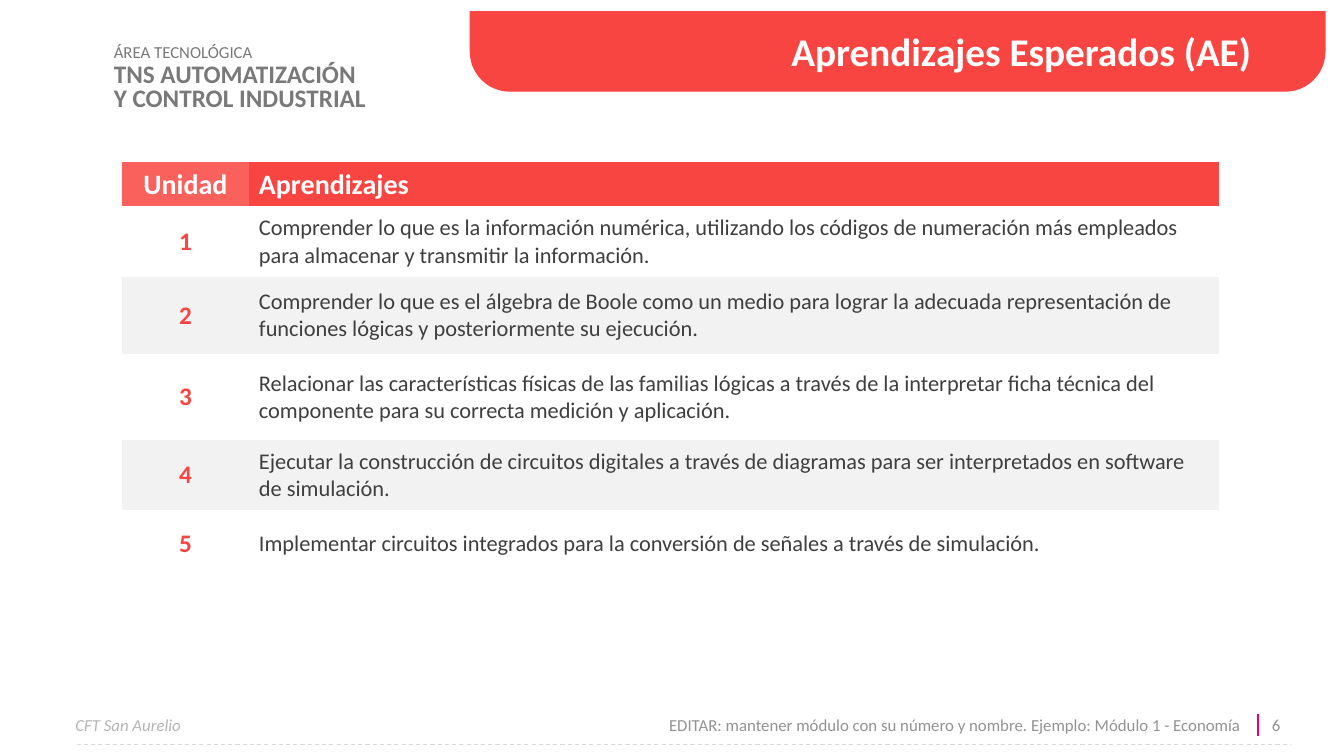
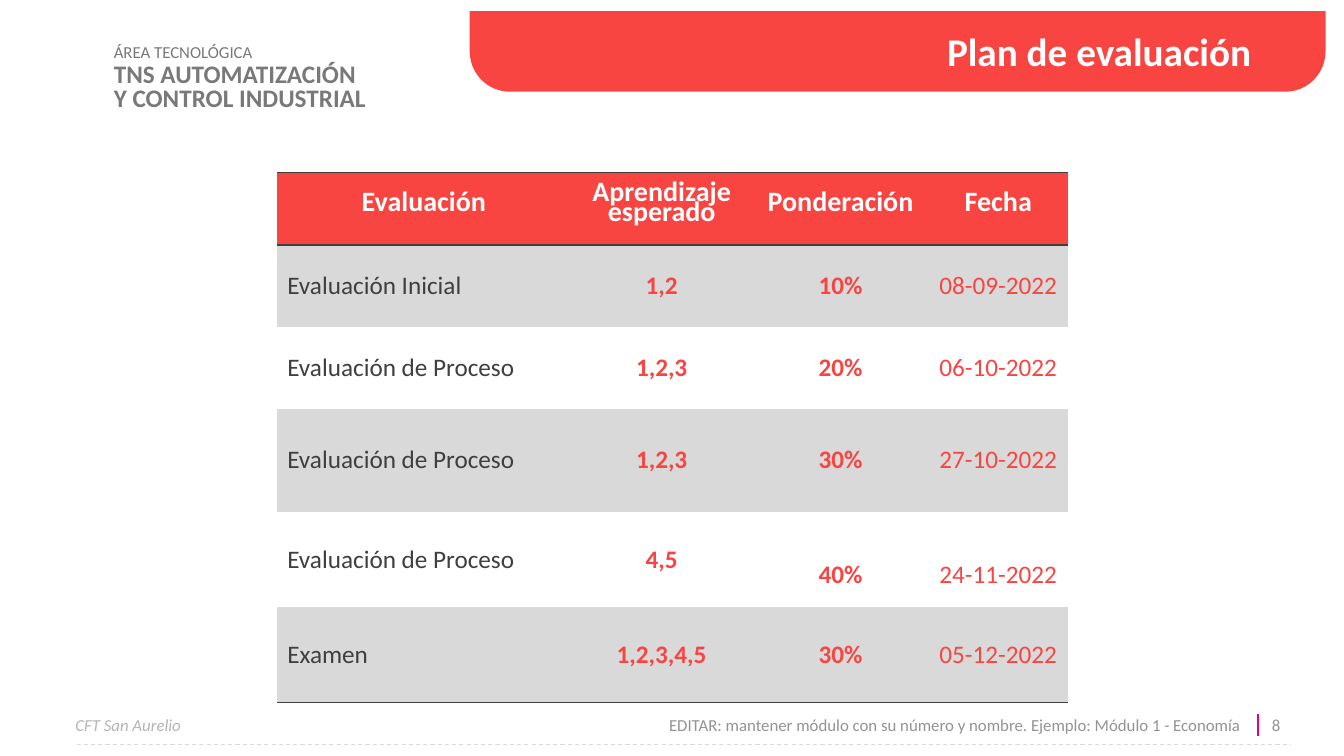
from dataclasses import dataclass

from lxml.etree import SubElement
from pptx import Presentation
from pptx.dml.color import RGBColor
from pptx.enum.dml import MSO_LINE
from pptx.enum.shapes import MSO_CONNECTOR, MSO_SHAPE
from pptx.enum.text import MSO_ANCHOR, PP_ALIGN
from pptx.oxml import parse_xml
from pptx.oxml.ns import nsdecls, qn
from pptx.util import Pt


@dataclass(frozen=True)
class Theme:
    font: str = "Calibri"
    red: str = "F94541"
    light_red: str = "FA605C"
    magenta: str = "E6007E"
    white: str = "FFFFFF"
    dark: str = "3F3F3F"
    heading: str = "797979"
    footer: str = "939393"
    institution: str = "B5B5B5"
    rule: str = "D9D9D9"
    pale_band: str = "F2F2F2"
    gray_band: str = "D9D9D9"
    title_size: int = 28
    header_size: int = 20
    large_size: int = 18
    body_size: int = 16
    small_size: int = 12


THEME = Theme()
PLAIN_TABLE_STYLE = "{2D5ABB26-0587-4C30-8999-92F81FD0307C}"
LEFT, CENTER, RIGHT = PP_ALIGN.LEFT, PP_ALIGN.CENTER, PP_ALIGN.RIGHT


@dataclass(frozen=True)
class Column:
    header: str
    width: float
    align: PP_ALIGN = CENTER
    size: int = THEME.large_size
    color: str = THEME.red
    bold: bool = True
    header_align: PP_ALIGN = CENTER
    header_fill: str = THEME.red


def rgb(color):
    return RGBColor.from_string(color)


def write_text(frame, text, size, color, bold=False, italic=False,
               align=LEFT, spacing=None):
    frame.text = text
    for paragraph in frame.paragraphs:
        paragraph.alignment = align
        paragraph.line_spacing = spacing
        font = paragraph.font
        font.name, font.size = THEME.font, Pt(size)
        font.bold, font.italic = bold, italic
        font.color.rgb = rgb(color)


def add_text(page, area, text, size, color, anchor=MSO_ANCHOR.MIDDLE, **style):
    box = page.shapes.add_textbox(*map(Pt, area))
    frame = box.text_frame
    frame.word_wrap = True
    frame.vertical_anchor = anchor
    write_text(frame, text, size, color, **style)


def add_line(page, start, end, color, width, dash=None):
    line = page.shapes.add_connector(
        MSO_CONNECTOR.STRAIGHT, *map(Pt, (*start, *end)))
    line.line.color.rgb = rgb(color)
    line.line.width = Pt(width)
    if dash:
        line.line.dash_style = dash
    SubElement(line._element.spPr, qn("a:effectLst"))


def add_title_band(page, title):
    band = page.shapes.add_shape(
        MSO_SHAPE.ROUND_2_SAME_RECTANGLE, *map(Pt, (335.5, 8, 611.3, 57.5)))
    band.adjustments[0] = 0.5
    band.rotation = 180
    band.shadow.inherit = False
    band.fill.solid()
    band.fill.fore_color.rgb = rgb(THEME.red)
    band.line.fill.background()
    add_text(page, (440, 19.5, 460.7, 25), title, THEME.title_size,
             THEME.white, MSO_ANCHOR.TOP, bold=True, align=RIGHT, spacing=0.9)


def add_program_heading(page):
    add_text(page, (74.2, 28.8, 143.3, 19.5), "ÁREA TECNOLÓGICA",
             THEME.small_size, THEME.heading, MSO_ANCHOR.TOP, spacing=Pt(12))
    add_text(page, (74.2, 41.8, 246.2, 42.5),
             "TNS AUTOMATIZACIÓN\nY CONTROL INDUSTRIAL", THEME.large_size,
             THEME.heading, MSO_ANCHOR.TOP, bold=True, spacing=0.81)


def add_footer(page, number):
    top, height = 503.3, 28.8
    add_text(page, (46.8, top, 324, height), "CFT San Aurelio",
             THEME.small_size, THEME.institution, italic=True)
    add_text(page, (367.9, top, 525.6, height),
             "EDITAR: mantener módulo con su número y nombre. "
             "Ejemplo: Módulo 1 - Economía",
             THEME.small_size, THEME.footer, align=RIGHT)
    add_text(page, (901.4, top, 42.5, height), str(number),
             THEME.small_size, THEME.footer)
    add_line(page, (898.5, 509.8), (898.5, 525.6), THEME.magenta, 1)
    add_line(page, (54.7, 532), (922.3, 532), THEME.rule, 0.75, MSO_LINE.DASH)


def add_page(deck, title, number):
    page = deck.slides.add_slide(deck.slide_layouts[6])
    add_title_band(page, title)
    add_program_heading(page)
    add_footer(page, number)
    return page


def fill_cell(cell, text, fill, **style):
    cell.fill.solid()
    cell.fill.fore_color.rgb = rgb(fill)
    cell.vertical_anchor = MSO_ANCHOR.MIDDLE
    write_text(cell.text_frame, text, **style)


def add_borders(cells, edges):
    """Draw thin dark lines on the given edges, T before B as the schema asks."""
    for cell in cells:
        properties = cell._tc.get_or_add_tcPr()
        for position, edge in enumerate(edges):
            properties.insert(position, parse_xml(
                f'<a:ln{edge} {nsdecls("a")} w="12700"><a:solidFill>'
                f'<a:srgbClr val="{THEME.dark}"/></a:solidFill></a:ln{edge}>'))


def add_banded_table(page, origin, columns, heights, records, bands,
                     header_spacing=None):
    """Place a table whose body rows alternate between the two band colours."""
    size = sum(column.width for column in columns), sum(heights)
    table = page.shapes.add_table(
        len(heights), len(columns), *map(Pt, (*origin, *size))).table
    table._tbl.tblPr.find(qn("a:tableStyleId")).text = PLAIN_TABLE_STYLE
    for row, height in zip(table.rows, heights):
        row.height = Pt(height)
    for index, column in enumerate(columns):
        table.columns[index].width = Pt(column.width)
        fill_cell(table.cell(0, index), column.header, column.header_fill,
                  size=THEME.header_size, color=THEME.white, bold=True,
                  align=column.header_align, spacing=header_spacing)
        for number, record in enumerate(records):
            fill_cell(table.cell(number + 1, index), record[index],
                      bands[number % 2], size=column.size, color=column.color,
                      bold=column.bold, align=column.align)
    return table


def add_learning_page(deck):
    page = add_page(deck, "Aprendizajes Esperados (AE)", 6)
    columns = [
        Column("Unidad", 90.7, header_fill=THEME.light_red),
        Column("Aprendizajes", 693.1, LEFT, THEME.body_size, THEME.dark,
               bold=False, header_align=LEFT),
    ]
    outcomes = [
        "Comprender lo que es la información numérica, utilizando los códigos "
        "de numeración más empleados para almacenar y transmitir la información.",
        "Comprender lo que es el álgebra de Boole como un medio para lograr la "
        "adecuada representación de funciones lógicas y posteriormente su "
        "ejecución.",
        "Relacionar las características físicas de las familias lógicas a "
        "través de la interpretar ficha técnica del componente para su "
        "correcta medición y aplicación.",
        "Ejecutar la construcción de circuitos digitales a través de diagramas "
        "para ser interpretados en software de simulación.",
        "Implementar circuitos integrados para la conversión de señales a "
        "través de simulación.",
    ]
    records = [(str(unit), text) for unit, text in enumerate(outcomes, 1)]
    add_banded_table(page, (87.1, 115.9), columns,
                     [31.5, 50.5, 55, 61.5, 50, 48], records,
                     (THEME.white, THEME.pale_band))


def add_evaluation_page(deck):
    page = add_page(deck, "Plan de evaluación", 8)
    columns = [
        Column("Evaluación", 209.5, LEFT, color=THEME.dark, bold=False),
        Column("Aprendizaje\nesperado", 130.3),
        Column("Ponderación", 125.3),
        Column("Fecha", 100, bold=False),
    ]
    records = [
        ("Evaluación Inicial", "1,2", "10%", "08-09-2022"),
        ("Evaluación de Proceso", "1,2,3", "20%", "06-10-2022"),
        ("Evaluación de Proceso", "1,2,3", "30%", "27-10-2022"),
        ("Evaluación de Proceso", "4,5", "40%", "24-11-2022"),
        ("Examen", "1,2,3,4,5", "30%", "05-12-2022"),
    ]
    table = add_banded_table(page, (198, 123), columns,
                             [52, 58.5, 58.5, 73.5, 68.5, 68], records,
                             (THEME.gray_band, THEME.white), Pt(15))
    for lowered in (2, 3):
        table.cell(4, lowered).margin_top = Pt(25.5)
    add_borders(table.rows[0].cells, "TB")
    add_borders(table.rows[len(records)].cells, "B")


def main():
    deck = Presentation()
    deck.slide_width, deck.slide_height = Pt(960), Pt(540)
    add_learning_page(deck)
    add_evaluation_page(deck)
    deck.save("out.pptx")


if __name__ == "__main__":
    main()
